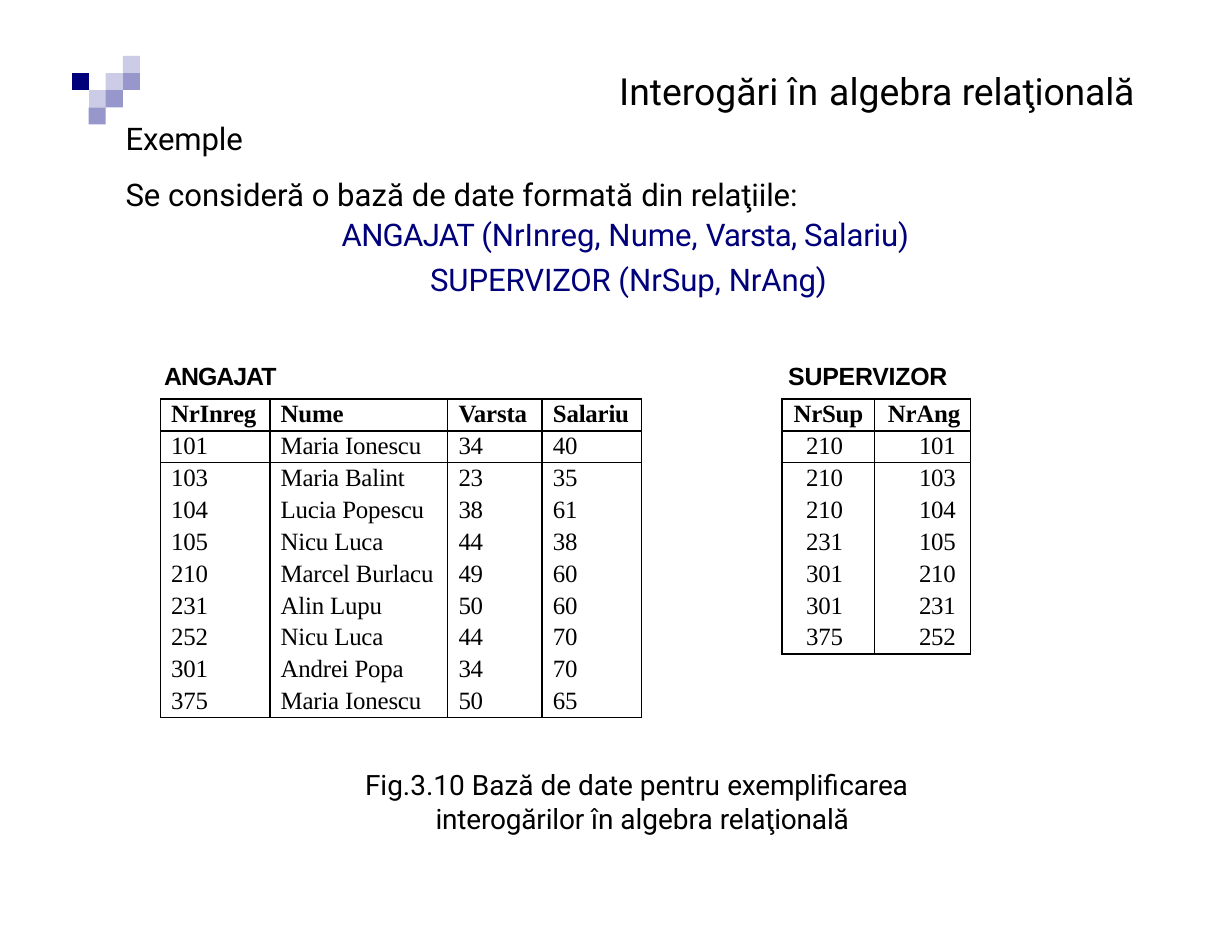
from lxml import etree
from pptx import Presentation
from pptx import util as u
from pptx.dml.color import RGBColor
from pptx.enum import text
from pptx.oxml import ns

COLORS = {"black": "000000", "navy": "00007B", "lilac": "9797CC", "pale": "CCCCE6"}
PLAIN_TABLE = "{2D5ABB26-0587-4C30-8999-92F81FD0307C}"
LEFT, CENTER, RIGHT = text.PP_ALIGN.LEFT, text.PP_ALIGN.CENTER, text.PP_ALIGN.RIGHT


def apply(target, values):
    for name, value in values.items():
        setattr(target, name, value)


class Page:
    fonts = {
        "title": {"name": "Roboto", "size": u.Pt(24), "bold": False},
        "body": {"name": "Roboto", "size": u.Pt(20)},
        "label": {"name": "Arial", "size": u.Pt(16), "bold": True},
        "cell": {"name": "Times New Roman", "size": u.Pt(16), "bold": False},
        "header": {"name": "Times New Roman", "size": u.Pt(16), "bold": True},
        "caption": {"name": "Roboto", "size": u.Pt(18)},
    }

    def __init__(self, deck):
        self.slide = deck.slides.add_slide(deck.slide_layouts[5])
        self.shapes = self.slide.shapes

    def color(self, name):
        return RGBColor.from_string(COLORS[name])

    def squares(self, cells, fill, origin=(46.3, 36), side=11):
        builder = None
        for column, row in cells:
            x, y = origin[0] + column * side, origin[1] + row * side
            corners = [(x + side, y), (x + side, y + side), (x, y + side)]
            if builder is None:
                builder = self.shapes.build_freeform(x, y, scale=u.Pt(1))
            else:
                builder.move_to(x, y)
            builder.add_line_segments(corners, close=True)
        mark = builder.convert_to_shape()
        mark.shadow.inherit = False
        mark.fill.solid()
        mark.fill.fore_color.rgb = self.color(fill)
        mark.line.fill.background()

    def fill_paragraph(self, paragraph, runs, style, color="black", align=LEFT, **spacing):
        paragraph.alignment = align
        apply(paragraph, spacing)
        for words, tracking in runs:
            run = paragraph.add_run()
            run.text = words
            apply(run.font, self.fonts[style])
            run.font.color.rgb = self.color(color)
            if tracking:
                run.font._element.set("spc", str(round(tracking * 100)))

    def frame(self, holder, box, top=1):
        apply(holder, dict(zip(("left", "top", "width", "height"), map(u.Pt, box))))
        frame = holder.text_frame
        apply(frame, {
            "margin_left": 0, "margin_right": 0, "margin_bottom": 0,
            "margin_top": u.Pt(top), "word_wrap": True,
            "auto_size": text.MSO_AUTO_SIZE.NONE,
            "vertical_anchor": text.MSO_ANCHOR.TOP,
        })
        return frame

    def title(self, runs, box):
        self.fill_paragraph(self.frame(self.shapes.title, box).paragraphs[0], runs, "title")

    def text(self, paragraphs, box, style, top=1, indent=(0.7, 0)):
        frame = self.frame(self.shapes.add_textbox(0, 0, 0, 0), box, top)
        for index, (runs, options) in enumerate(paragraphs):
            paragraph = frame.paragraphs[0] if index == 0 else frame.add_paragraph()
            options = dict(options)
            margin = options.pop("margin", indent[0])
            properties = paragraph._p.get_or_add_pPr()
            properties.set("marL", str(u.Pt(margin)))
            properties.set("indent", str(u.Pt(indent[1])))
            self.fill_paragraph(paragraph, runs, style, **options)

    def border(self, cell, side, width):
        line = etree.SubElement(cell._tc.get_or_add_tcPr(), ns.qn("a:ln" + side))
        line.set("w", str(u.Pt(width)))
        if width:
            fill = etree.SubElement(line, ns.qn("a:solidFill"))
            etree.SubElement(fill, ns.qn("a:srgbClr")).set("val", COLORS["black"])
        else:
            etree.SubElement(line, ns.qn("a:noFill"))

    def table(self, rows, at, widths, verticals, aligns, margins, pitch=20.5):
        holder = self.shapes.add_table(
            len(rows), len(widths), u.Pt(at[0]), u.Pt(at[1]),
            u.Pt(sum(widths)), u.Pt(pitch * len(rows)))
        grid = holder.table
        apply(grid, {"first_row": False, "horz_banding": False})
        grid._tbl.tblPr.find(ns.qn("a:tableStyleId")).text = PLAIN_TABLE
        for column, width in zip(grid.columns, widths):
            column.width = u.Pt(width)
        horizontals = [1.5, 1, 1] + [0] * (len(rows) - 3) + [1]
        for r, record in enumerate(rows):
            grid.rows[r].height = u.Pt(pitch)
            for c, value in enumerate(record):
                cell = grid.cell(r, c)
                left, right = margins[c][min(r, 1)]
                apply(cell, {"margin_left": u.Pt(left), "margin_right": u.Pt(right),
                             "margin_top": 0, "margin_bottom": 0})
                for side, width in zip("LRTB", (verticals[c], verticals[c + 1],
                                                horizontals[r], horizontals[r + 1])):
                    self.border(cell, side, width)
                cell.fill.background()
                self.fill_paragraph(cell.text_frame.paragraphs[0], [(value, -0.1)],
                                    "cell" if r else "header", align=aligns[c],
                                    line_spacing=u.Pt(18.8 if r > 1 else 18.5))


def main():
    deck = Presentation()
    apply(deck, {"slide_width": u.Pt(792), "slide_height": u.Pt(612)})
    page = Page(deck)

    for cells, fill in (
        ([(2, 1), (3, 0)], "pale"),
        ([(3, 1)], "lilac"),
        ([(1, 2)], "pale"),
        ([(0, 1)], "navy"),
        ([(2, 2), (1, 3)], "lilac"),
    ):
        page.squares(cells, fill)

    page.title([("Interogări ", 0), ("în ", 0.5), ("algebra ", 0), ("relaţională", -0.1)],
               (398, 43, 340, 31))

    page.text([
        ([("Exemple", -0.1)], {}),
        ([("Se consideră o bază de date formată ", 0), ("din relaţiile:", -0.1)],
         {"space_before": u.Pt(12)}),
        ([("ANGAJAT ", -0.5), ("(NrInreg, Nume, ", 0), ("Varsta, ", -0.5), ("Salariu)", -0.1)],
         {"color": "navy", "align": CENTER, "margin": 133, "space_before": u.Pt(2.1)}),
        ([("SUPERVIZOR ", -0.1), ("(NrSup, ", 0), ("NrAng)", -0.1)],
         {"color": "navy", "align": CENTER, "margin": 137, "space_before": u.Pt(4.8)}),
    ], (80, 63.5, 511, 129), "body", top=13)

    employees = [
        ("NrInreg", "Nume", "Varsta", "Salariu"),
        ("101", "Maria Ionescu", "34", "40"),
        ("103", "Maria Balint", "23", "35"),
        ("104", "Lucia Popescu", "38", "61"),
        ("105", "Nicu Luca", "44", "38"),
        ("210", "Marcel Burlacu", "49", "60"),
        ("231", "Alin Lupu", "50", "60"),
        ("252", "Nicu Luca", "44", "70"),
        ("301", "Andrei Popa", "34", "70"),
        ("375", "Maria Ionescu", "50", "65"),
    ]
    supervisors = [
        ("NrSup", "NrAng"),
        ("210", "101"),
        ("210", "103"),
        ("210", "104"),
        ("231", "105"),
        ("301", "210"),
        ("301", "231"),
        ("375", "252"),
    ]
    page.text([([("ANGAJAT", -0.6)], {})], (104.8, 231, 75, 21), "label")
    page.table(employees, (103, 256.5), (70.5, 114.3, 60.7, 64), (1, 1.5, 1, 1, 1),
               [LEFT] * 4, [((7, 0), (7, 0))] * 4)
    page.text([([("SUPERVIZOR", -0.1)], {})], (506, 231, 105, 21), "label")
    page.table(supervisors, (502.7, 256.5), (59.7, 61.4), (1.5, 1, 1),
               (CENTER, RIGHT), (((0, 0), (0, 5)), ((0, 6.5), (0, 9.3))))

    page.text([([("Fig.3.10 Bază de date pentru ", 0), ("exemplificarea interogărilor ", -0.1),
                 ("în algebra ", 0), ("relaţională", -0.1)], {})],
              (234, 492.5, 352, 45), "caption", indent=(46, -45.3))

    deck.save("out.pptx")


if __name__ == "__main__":
    main()
